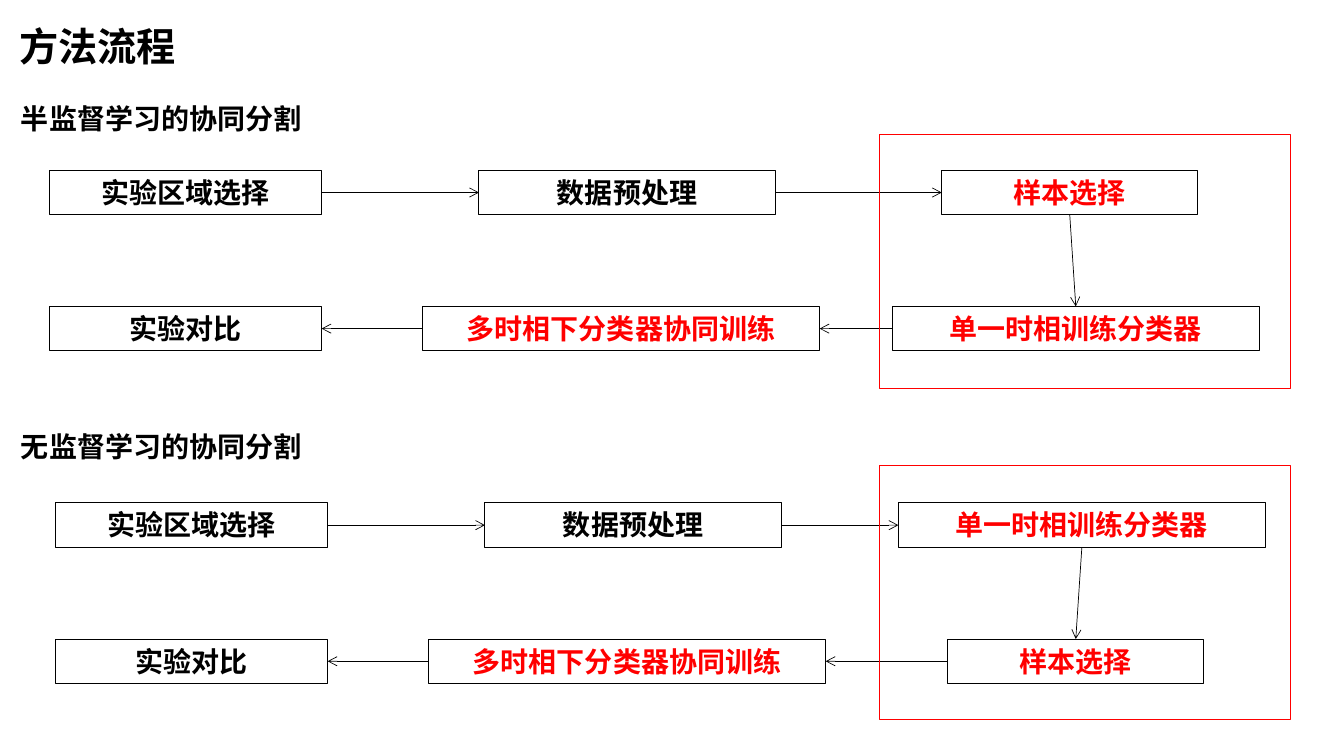
from lxml import etree
from pptx import Presentation
from pptx.dml.color import RGBColor
from pptx.enum.shapes import MSO_CONNECTOR, MSO_SHAPE
from pptx.enum.text import MSO_ANCHOR, PP_ALIGN
from pptx.oxml.ns import qn
from pptx.util import Inches, Pt

BLACK, RED = "000000", "FF0000"
TOP, LEFT, BOTTOM, RIGHT = range(4)  # connection sites of a rectangle
BOX_HEIGHT = 0.44
ROW_STEP = 1.35

# Each step: label, left edge, width, colour
REGION = ("实验区域选择", 0.49, 2.7, BLACK)
PREPROCESS = ("数据预处理", 4.75, 2.94, BLACK)
SAMPLES = ("样本选择", 9.34, 2.54, RED)
SINGLE_PHASE = ("单一时相训练分类器", 8.85, 3.64, RED)
CO_TRAINING = ("多时相下分类器协同训练", 4.19, 3.94, RED)
COMPARISON = ("实验对比", 0.49, 2.7, BLACK)

# Each flow: heading, heading top, first row top, shift to the right, frame top, steps
FLOWS = [
    ("半监督学习的协同分割", 0.96, 1.69, 0, 1.33,
     [REGION, PREPROCESS, SAMPLES, SINGLE_PHASE, CO_TRAINING, COMPARISON]),
    ("无监督学习的协同分割", 4.21, 4.99, 0.06, 4.62,
     [REGION, PREPROCESS, SINGLE_PHASE, SAMPLES, CO_TRAINING, COMPARISON]),
]
# Sites left and entered by the arrows between consecutive steps
ARROW_SITES = [(RIGHT, LEFT), (RIGHT, LEFT), (BOTTOM, TOP), (LEFT, RIGHT), (LEFT, RIGHT)]


def write(shape, text, size, color, alignment, anchor=MSO_ANCHOR.TOP):
    frame = shape.text_frame
    frame.text = text
    frame.word_wrap = True
    frame.vertical_anchor = anchor
    paragraph = frame.paragraphs[0]
    paragraph.alignment = alignment
    font = paragraph.runs[0].font
    font.name, font.size, font.bold = "Calibri", Pt(size), True
    font.color.rgb = RGBColor.from_string(color)


def add_outline(shapes, left, top, width, height, color):
    shape = shapes.add_shape(MSO_SHAPE.RECTANGLE, Inches(left), Inches(top),
                             Inches(width), Inches(height))
    shape.shadow.inherit = False
    shape.fill.background()
    shape.line.color.rgb = RGBColor.from_string(color)
    shape.line.width = Pt(0.75)
    return shape


presentation = Presentation()
presentation.slide_width, presentation.slide_height = Inches(13.33), Inches(7.5)
slide = presentation.slides.add_slide(presentation.slide_layouts[5])
shapes = slide.shapes

title = shapes.title
title.left, title.top, title.width, title.height = map(Inches, (0.09, 0.17, 4.56, 0.57))
write(title, "方法流程", 28, BLACK, PP_ALIGN.LEFT, MSO_ANCHOR.MIDDLE)

for heading, heading_top, row_top, shift, frame_top, steps in FLOWS:
    heading_box = shapes.add_textbox(Inches(0.11), Inches(heading_top),
                                     Inches(3.09), Inches(BOX_HEIGHT))
    write(heading_box, heading, 20, BLACK, PP_ALIGN.LEFT)

    boxes = []
    for index, (label, left, width, color) in enumerate(steps):
        top = row_top + index // 3 * ROW_STEP
        box = add_outline(shapes, left + shift, top, width, BOX_HEIGHT, BLACK)
        write(box, label, 20, color, PP_ALIGN.CENTER)
        boxes.append(box)

    for start, end, (start_site, end_site) in zip(boxes, boxes[1:], ARROW_SITES):
        arrow = shapes.add_connector(MSO_CONNECTOR.STRAIGHT, 0, 0, 0, 0)
        arrow.begin_connect(start, start_site)
        arrow.end_connect(end, end_site)
        arrow.line.color.rgb = RGBColor.from_string(BLACK)
        arrow.line.width = Pt(0.5)
        etree.SubElement(arrow.line._get_or_add_ln(), qn("a:tailEnd"), type="arrow")
        etree.SubElement(arrow._element.spPr, qn("a:effectLst"))

    add_outline(shapes, 8.72, frame_top, 4.08, 2.52, RED)

presentation.save("out.pptx")
